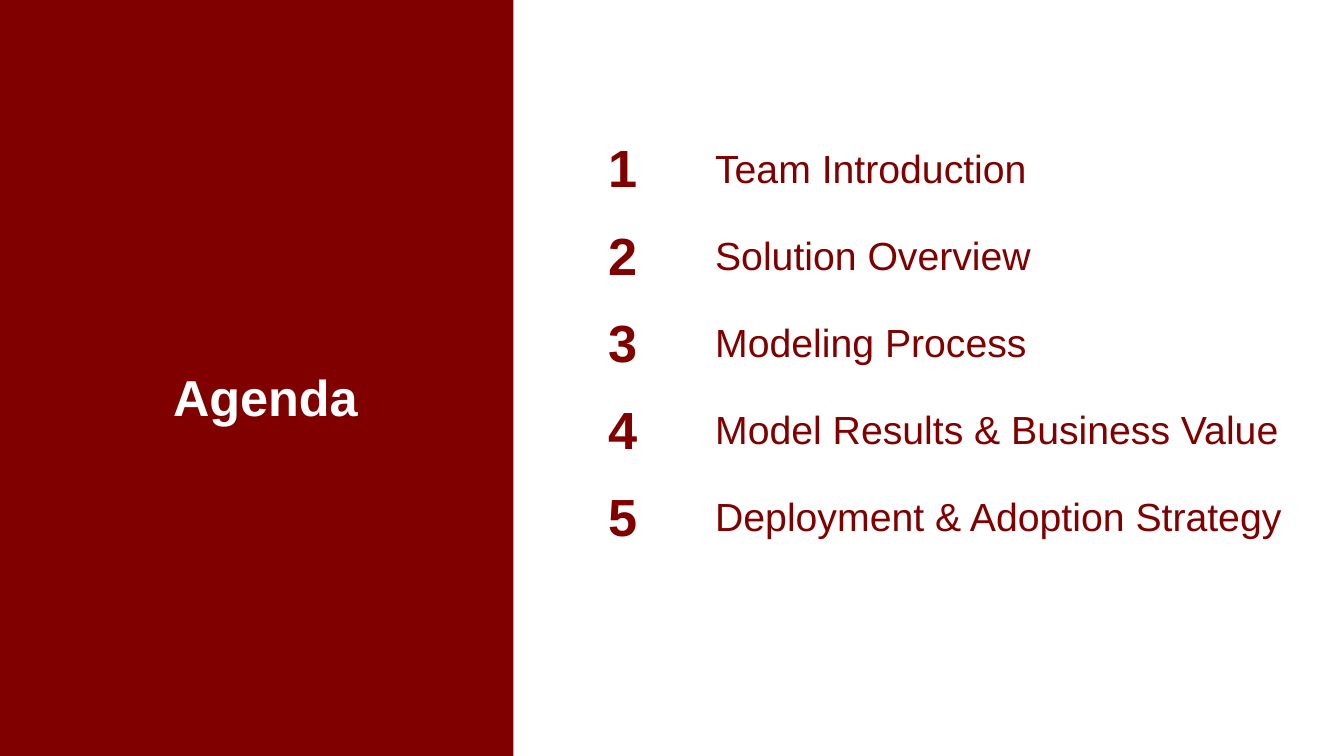
from pptx import Presentation
from pptx import util as u
from pptx.dml.color import RGBColor
from pptx.enum import shapes, text

MAROON = "800000"
WHITE = "FFFFFF"
TOPICS = [
    "Team Introduction",
    "Solution Overview",
    "Modeling Process",
    "Model Results & Business Value",
    "Deployment & Adoption Strategy",
]


def color(value):
    return RGBColor.from_string(value)


def write(frame, words, size=21, fill=MAROON, bold=False, align=text.PP_ALIGN.LEFT, spacing=1.0):
    para = frame.paragraphs[0]
    para.alignment = align
    para.line_spacing = spacing
    span = para.add_run()
    span.text = words
    span.font.name = "Arial"
    span.font.size = u.Pt(size)
    span.font.bold = bold
    span.font.color.rgb = color(fill)


def add_panel(page, width, height):
    panel = page.shapes.add_shape(shapes.MSO_SHAPE.RECTANGLE, 0, 0, u.Pt(width), u.Pt(height))
    panel.shadow.inherit = False
    panel.fill.solid()
    panel.fill.fore_color.rgb = color(MAROON)
    panel.line.fill.background()


def add_title(page, words):
    box = page.shapes.add_textbox(u.Pt(38.2), u.Pt(152.6), u.Pt(208), u.Pt(123.8))
    frame = box.text_frame
    frame.word_wrap = True
    frame.vertical_anchor = text.MSO_ANCHOR.MIDDLE
    write(frame, words, size=27, fill=WHITE, bold=True, align=text.PP_ALIGN.CENTER, spacing=0.9)


def fill_cell(cell, words, **style):
    cell.fill.background()
    cell.vertical_anchor = text.MSO_ANCHOR.MIDDLE
    cell.margin_left = cell.margin_right = u.Pt(7.2)
    cell.margin_top = cell.margin_bottom = u.Pt(6.5)
    write(cell.text_frame, words, **style)


def add_agenda(page, topics):
    widths = [56.9, 347.8]
    row_height = 45.7
    frame = page.shapes.add_table(len(topics), len(widths), u.Pt(319), u.Pt(67.7),
                                  u.Pt(sum(widths)), u.Pt(row_height * len(topics)))
    table = frame.table
    table.first_row = False
    table.horz_banding = False
    style = table._tbl.tblPr.find("{*}tableStyleId")
    style.text = "{2D5ABB26-0587-4C30-8999-92F81FD0307C}"
    for column, width in zip(table.columns, widths):
        column.width = u.Pt(width)
    for index, topic in enumerate(topics):
        table.rows[index].height = u.Pt(row_height)
        fill_cell(table.cell(index, 0), str(index + 1), size=28, bold=True)
        fill_cell(table.cell(index, 1), topic)


def main():
    deck = Presentation()
    deck.slide_width = u.Pt(720)
    deck.slide_height = u.Pt(405)
    page = deck.slides.add_slide(deck.slide_layouts[6])
    add_panel(page, 275, 405)
    add_title(page, "Agenda")
    add_agenda(page, TOPICS)
    deck.save("out.pptx")


if __name__ == "__main__":
    main()
